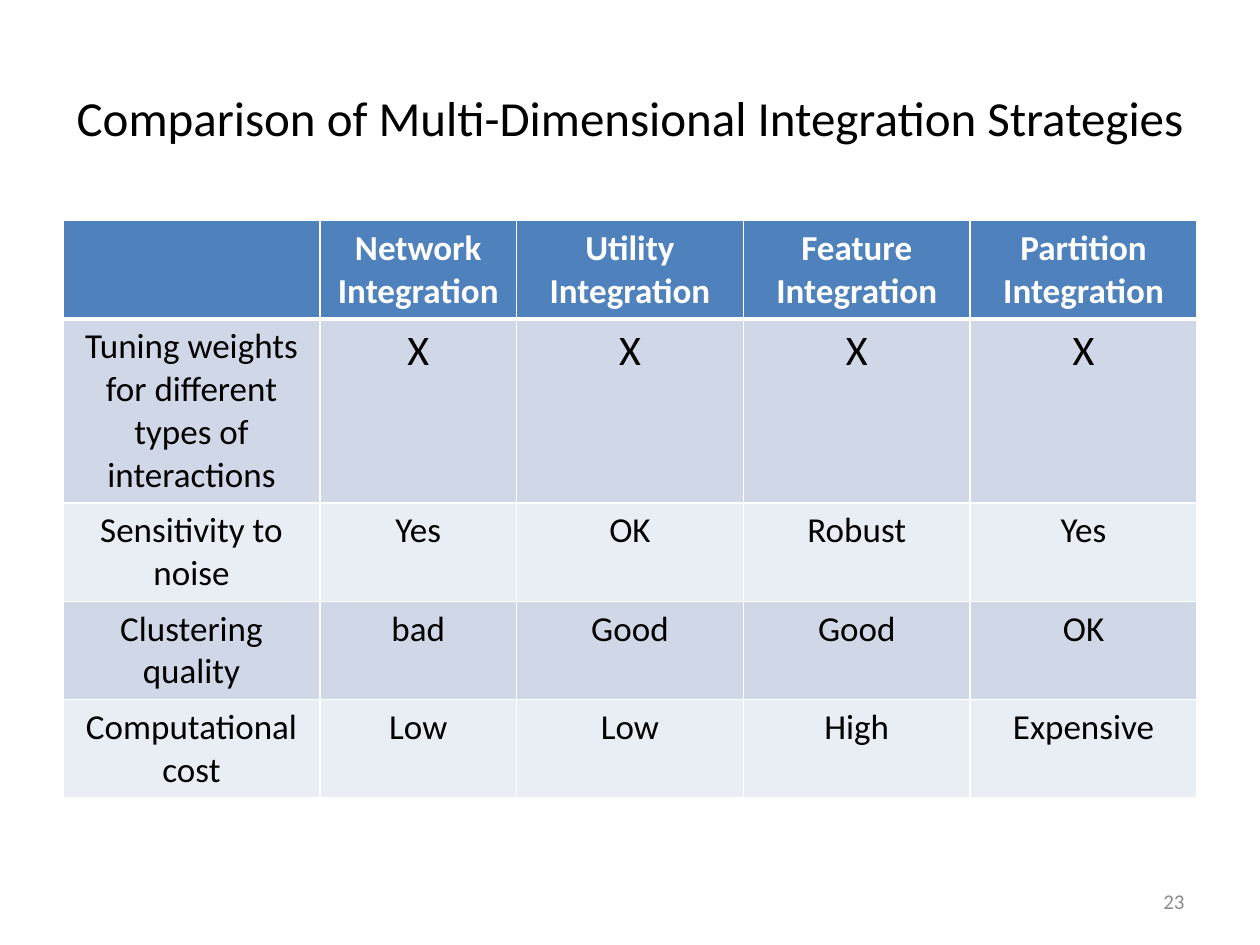
from lxml import etree
from pptx import Presentation
from pptx.dml.color import RGBColor
from pptx.enum.text import MSO_ANCHOR, PP_ALIGN
from pptx.oxml.ns import qn
from pptx.util import Inches, Pt

BLACK = RGBColor(0x00, 0x00, 0x00)
WHITE = RGBColor(0xFF, 0xFF, 0xFF)
GRAY = RGBColor(0x8C, 0x8C, 0x8C)
HEADER_BLUE = RGBColor(0x4F, 0x81, 0xBD)
BANDS = (RGBColor(0xD0, 0xD8, 0xE8), RGBColor(0xE9, 0xED, 0xF4))

STRATEGIES = ["", "Network Integration", "Utility Integration",
              "Feature Integration", "Partition Integration"]
CRITERIA = [
    ["Tuning weights for different types of interactions", "X", "X", "X", "X"],
    ["Sensitivity to noise", "Yes", "OK", "Robust", "Yes"],
    ["Clustering quality", "bad", "Good", "Good", "OK"],
    ["Computational cost", "Low", "Low", "High", "Expensive"],
]
COLUMN_WIDTHS = [2.04, 1.56, 1.8, 1.8, 1.8]
ROW_HEIGHTS = [0.78, 1.46, 0.78, 0.78, 0.78]


class SlideBuilder:
    font = "Calibri"

    def __init__(self, slide):
        self.slide = slide

    def set_text(self, frame, text, size, color, align, bold=False):
        frame.text = text
        paragraph = frame.paragraphs[0]
        paragraph.alignment = align
        font = paragraph.runs[0].font if paragraph.runs else paragraph.font
        font.name, font.size, font.bold = self.font, Pt(size), bold
        font.color.rgb = color

    def title(self, text, left, top, width, height):
        title = self.slide.shapes.title
        title.left, title.top = Inches(left), Inches(top)
        title.width, title.height = Inches(width), Inches(height)
        title.text_frame.vertical_anchor = MSO_ANCHOR.MIDDLE
        self.set_text(title.text_frame, text, 28, BLACK, PP_ALIGN.CENTER)

    def page_number(self, text, left, top, width, height):
        box = self.slide.shapes.add_textbox(
            Inches(left), Inches(top), Inches(width), Inches(height))
        box.text_frame.word_wrap = True
        box.text_frame.vertical_anchor = MSO_ANCHOR.MIDDLE
        self.set_text(box.text_frame, text, 12, GRAY, PP_ALIGN.RIGHT)

    def borders(self, cell, top=1, bottom=1):
        """Draw white cell borders; the lines must precede the fill in tcPr."""
        properties = cell._tc.get_or_add_tcPr()
        sides = (("L", 1), ("R", 1), ("T", top), ("B", bottom))
        for index, (side, width) in enumerate(sides):
            line = etree.Element(qn(f"a:ln{side}"), w=str(Pt(width)))
            fill = etree.SubElement(line, qn("a:solidFill"))
            etree.SubElement(fill, qn("a:srgbClr"), val=str(WHITE))
            properties.insert(index, line)

    def comparison(self, rows, left, top):
        table = self.slide.shapes.add_table(
            len(rows), len(COLUMN_WIDTHS), Inches(left), Inches(top),
            Inches(sum(COLUMN_WIDTHS)), Inches(sum(ROW_HEIGHTS))).table
        for column, width in zip(table.columns, COLUMN_WIDTHS):
            column.width = Inches(width)
        for r, (row, height) in enumerate(zip(rows, ROW_HEIGHTS)):
            table.rows[r].height = Inches(height)
            header = r == 0
            for c, text in enumerate(row):
                cell = table.cell(r, c)
                self.set_text(cell.text_frame, text, 24 if text == "X" else 20,
                              WHITE if header else BLACK, PP_ALIGN.CENTER, header)
                cell.fill.solid()
                cell.fill.fore_color.rgb = (
                    HEADER_BLUE if header else BANDS[(r - 1) % 2])
                self.borders(cell, top=3 if r == 1 else 1,
                             bottom=3 if header else 1)


def main():
    deck = Presentation()
    deck.slide_width, deck.slide_height = Inches(10), Inches(7.5)
    builder = SlideBuilder(deck.slides.add_slide(deck.slide_layouts[5]))
    builder.title("Comparison of Multi-Dimensional Integration Strategies",
                  0.5, 0.3, 9, 1.25)
    builder.comparison([STRATEGIES] + CRITERIA, 0.5, 1.75)
    builder.page_number("23", 7.17, 6.95, 2.33, 0.4)
    deck.save("out.pptx")


if __name__ == "__main__":
    main()
